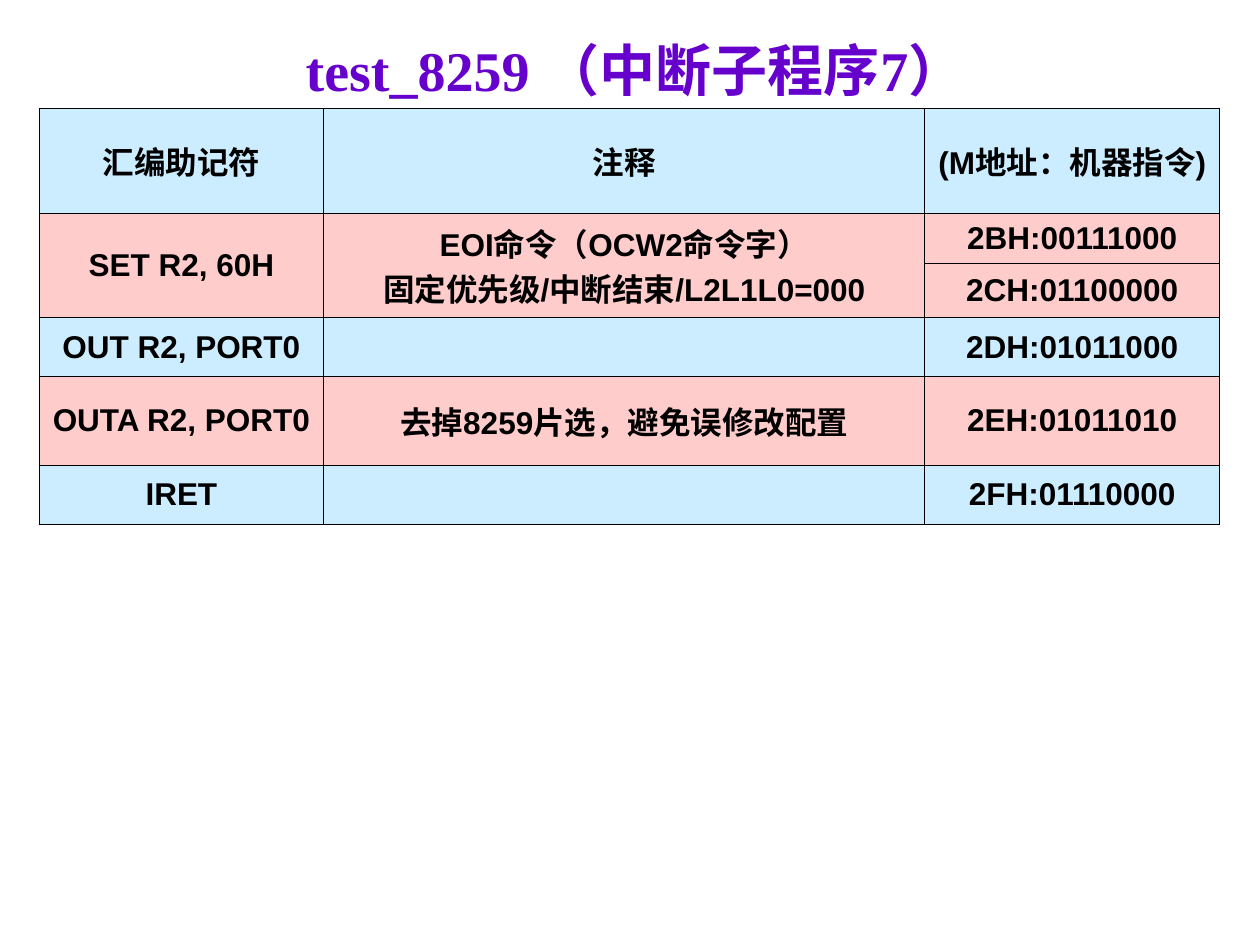
from dataclasses import dataclass

from lxml import etree
from pptx import Presentation
from pptx.dml.color import RGBColor
from pptx.enum.text import MSO_ANCHOR, PP_ALIGN
from pptx.oxml.ns import qn
from pptx.util import Inches, Pt

MIDDLE = MSO_ANCHOR.MIDDLE
CENTER = PP_ALIGN.CENTER


@dataclass(frozen=True)
class Theme:
    ink: str = "000000"
    title: str = "6600CC"
    blue: str = "CCECFF"
    pink: str = "FFCCCC"
    head: int = 32
    body: int = 18
    line: float = 0.45


THEME = Theme()
HEAD = {"name": "Times New Roman", "size": Pt(THEME.head), "bold": True}
BODY = {"name": "Arial", "size": Pt(THEME.body), "bold": True}

COLS = [2.26, 4.77, 2.34]
ROWS = [
    (0.83, THEME.blue, ["汇编助记符", "注释", "(M地址：机器指令)"]),
    (0.4, THEME.pink, [
        "SET R2, 60H",
        "EOI命令（OCW2命令字）\n固定优先级/中断结束/L2L1L0=000",
        "2BH:00111000",
    ]),
    (0.43, THEME.pink, ["", "", "2CH:01100000"]),
    (0.47, THEME.blue, ["OUT R2, PORT0", "", "2DH:01011000"]),
    (0.7, THEME.pink, [
        "OUTA R2, PORT0", "去掉8259片选，避免误修改配置", "2EH:01011010",
    ]),
    (0.47, THEME.blue, ["IRET", "", "2FH:01110000"]),
]


def write(frame, text, style, color):
    frame.text = text
    for para in frame.paragraphs:
        para.alignment = CENTER
        for run in para.runs:
            for key, value in style.items():
                setattr(run.font, key, value)
            run.font.color.rgb = RGBColor.from_string(color)


def hang(frame):
    for para in frame.paragraphs:
        props = para._p.get_or_add_pPr()
        props.set("marL", str(Inches(0.38)))
        props.set("indent", str(Inches(-0.38)))


def edge(cell):
    props = cell._tc.get_or_add_tcPr()
    for spot, side in enumerate(("a:lnL", "a:lnR", "a:lnT", "a:lnB")):
        line = etree.Element(qn(side), w=str(Pt(THEME.line)))
        fill = etree.SubElement(line, qn("a:solidFill"))
        etree.SubElement(fill, qn("a:srgbClr"), val=THEME.ink)
        props.insert(spot, line)


def add_title(slide, left, top, width, height):
    box = slide.shapes.add_textbox(
        Inches(left), Inches(top), Inches(width), Inches(height))
    frame = box.text_frame
    frame.word_wrap = True
    frame.vertical_anchor = MIDDLE
    write(frame, "test_8259 （中断子程序7）", HEAD, THEME.title)


def add_code(slide, left, top, width, height):
    table = slide.shapes.add_table(
        len(ROWS), len(COLS), Inches(left), Inches(top),
        Inches(width), Inches(height)).table
    for col, part in zip(table.columns, COLS):
        col.width = Inches(width * part / sum(COLS))
    total = sum(row[0] for row in ROWS)
    for r, (part, fill, texts) in enumerate(ROWS):
        table.rows[r].height = Inches(height * part / total)
        for c, text in enumerate(texts):
            cell = table.cell(r, c)
            cell.vertical_anchor = MIDDLE
            cell.fill.solid()
            cell.fill.fore_color.rgb = RGBColor.from_string(fill)
            edge(cell)
            if text:
                write(cell.text_frame, text, BODY, THEME.ink)
                hang(cell.text_frame)
    for c in range(2):
        table.cell(1, c).merge(table.cell(2, c))


def main():
    deck = Presentation()
    deck.slide_width = Inches(10)
    deck.slide_height = Inches(7.5)
    slide = deck.slides.add_slide(deck.slide_layouts[6])
    add_code(slide, 0.31, 0.86, 9.37, 3.3)
    add_title(slide, 0.39, 0.31, 9.3, 0.47)
    deck.save("out.pptx")


if __name__ == "__main__":
    main()
